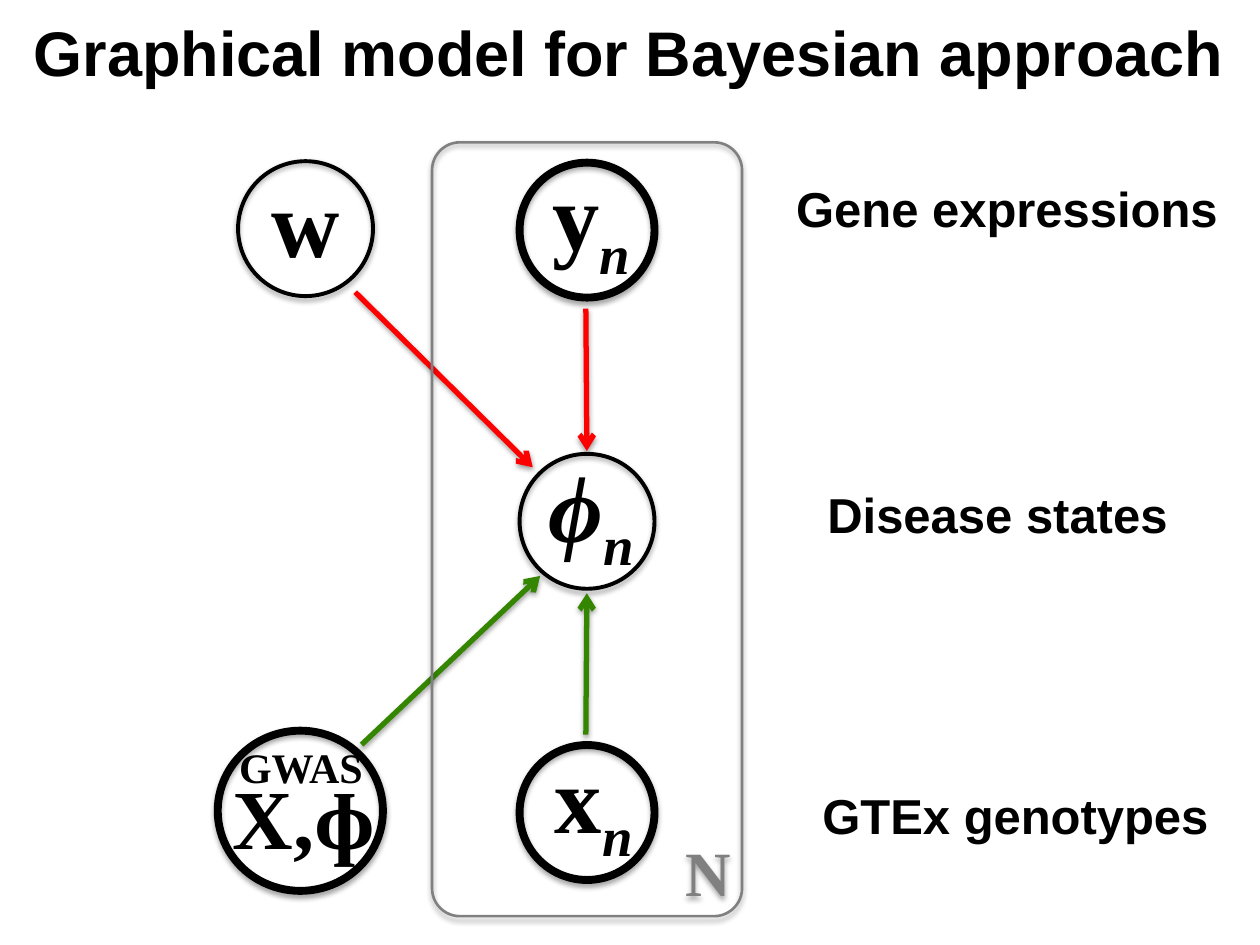
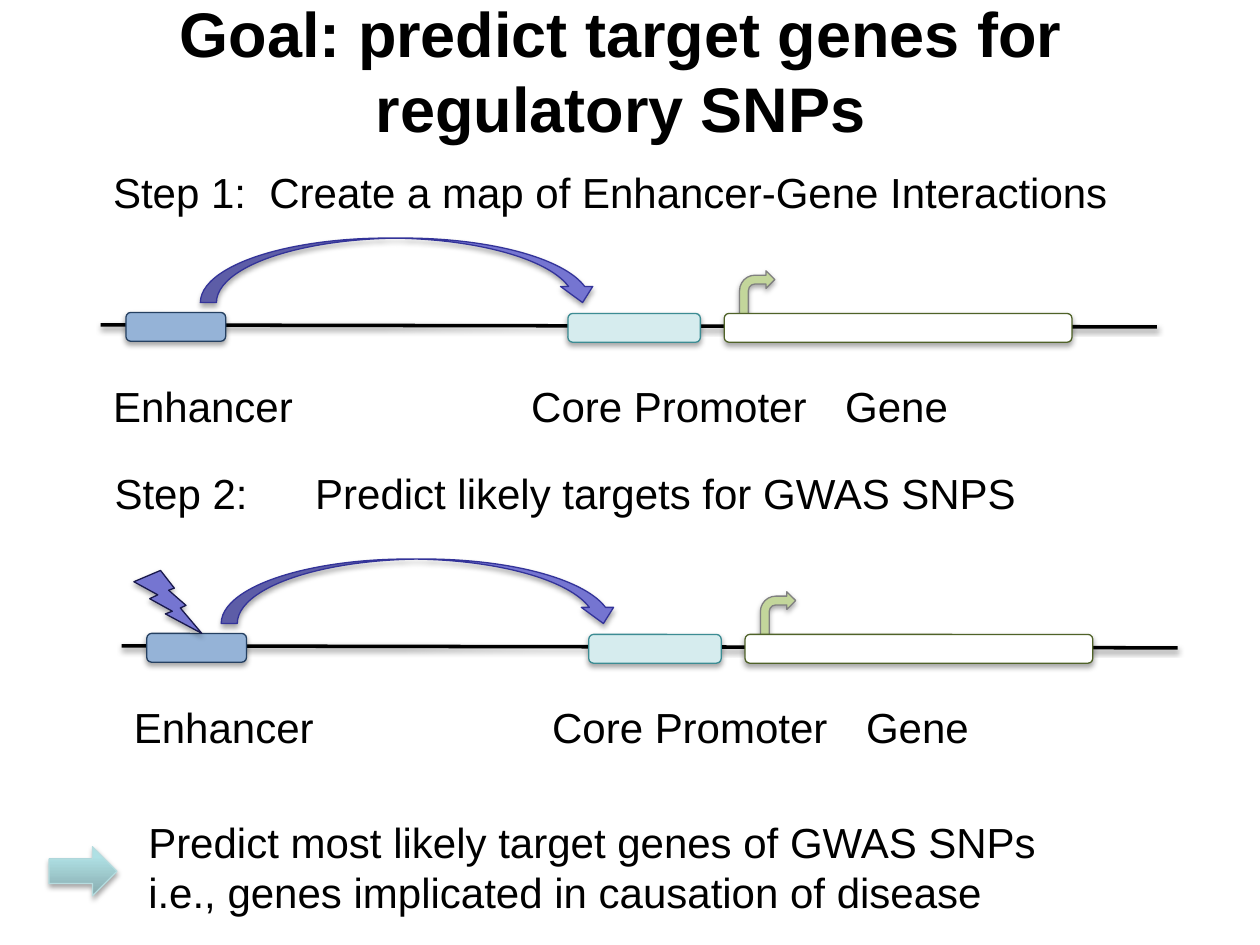
import dataclasses

import lxml.etree
import pptx
import pptx.dml.color
import pptx.enum.shapes
import pptx.enum.text
import pptx.oxml
import pptx.oxml.ns
import pptx.util

Cm = pptx.util.Cm
Pt = pptx.util.Pt
SHAPE = pptx.enum.shapes.MSO_SHAPE
ALIGN = pptx.enum.text.PP_ALIGN
ANCHOR = pptx.enum.text.MSO_ANCHOR
qn = pptx.oxml.ns.qn


@dataclasses.dataclass(frozen=True)
class Theme:
    sans: str = "Arial"
    serif: str = "Times New Roman"
    ink: str = "000000"
    plate: str = "808080"
    expression_edge: str = "FF0000"
    genotype_edge: str = "348600"
    enhancer: tuple = ("95B3D7", "254061")
    promoter: tuple = ("D6ECEE", "3C8C93")
    gene: tuple = ("FFFFFF", "4F6228")
    start_site: tuple = ("C3D69B", "808080")
    interaction: tuple = ("7575D1", "333399")
    variant: tuple = ("7575D1", "19194D")
    pointer: tuple = ("87ABAE", "AFE0E4")
    pointer_line: str = "B6DCDF"
    title: int = 36
    caption: int = 28
    body: int = 24
    symbol: int = 54
    small_symbol: int = 48


THEME = Theme()


@dataclasses.dataclass(frozen=True)
class Box:
    """A region in centimetres; its contents are placed from its top left corner."""
    left: float
    top: float
    width: float
    height: float

    def inner(self, x, y, width, height):
        return Box(self.left + x, self.top + y, width, height)

    def point(self, x, y):
        return Cm(self.left + x), Cm(self.top + y)

    @property
    def lengths(self):
        return [Cm(v) for v in (self.left, self.top, self.width, self.height)]


# Shared helpers

def rgb(code):
    return pptx.dml.color.RGBColor.from_string(code)


def cast_shadow(shape, opacity=35, distance=1.8):
    """Give a shape or connector the soft shadow that falls straight down."""
    properties = shape._element.spPr
    effects = properties.find(qn("a:effectLst"))
    if effects is None:
        effects = lxml.etree.SubElement(properties, qn("a:effectLst"))
    shadow = lxml.etree.SubElement(
        effects, qn("a:outerShdw"), blurRad=str(Pt(3.1)), dist=str(Pt(distance)),
        dir="5400000", rotWithShape="0")
    color = lxml.etree.SubElement(shadow, qn("a:srgbClr"), val=THEME.ink)
    lxml.etree.SubElement(color, qn("a:alpha"), val=str(opacity * 1000))


def write_text(frame, text, *, size=THEME.body, font=THEME.sans, color=THEME.ink,
               bold=False, italic=False, subscript="", align=ALIGN.LEFT,
               anchor=ANCHOR.TOP, wrap=False):
    frame.word_wrap = wrap
    frame.auto_size = pptx.enum.text.MSO_AUTO_SIZE.NONE
    frame.vertical_anchor = anchor
    for index, line in enumerate(text.split("\n")):
        paragraph = frame.add_paragraph() if index else frame.paragraphs[0]
        paragraph.alignment = align
        for content, is_subscript in ((line, False), (subscript, True)):
            if not content:
                continue
            run = paragraph.add_run()
            run.text = content
            run.font.name, run.font.size = font, Pt(size)
            run.font.bold, run.font.italic = bold, italic or is_subscript
            run.font.color.rgb = rgb(color)
            if is_subscript:
                run._r.get_or_add_rPr().set("baseline", "-25000")


def add_text(slide, box, text, **style):
    label = slide.shapes.add_textbox(*box.lengths)
    write_text(label.text_frame, text, **style)
    return label


def add_outline(slide, kind, box, line, weight=0.75, fill=None):
    shape = slide.shapes.add_shape(kind, *box.lengths)
    shape.shadow.inherit = False
    cast_shadow(shape)
    if fill:
        shape.fill.solid()
        shape.fill.fore_color.rgb = rgb(fill)
    else:
        shape.fill.background()
    shape.line.color.rgb = rgb(line)
    shape.line.width = Pt(weight)
    return shape


def add_line(slide, start, end, color, weight, arrow=False):
    line = slide.shapes.add_connector(
        pptx.enum.shapes.MSO_CONNECTOR.STRAIGHT, *start, *end)
    line.line.color.rgb = rgb(color)
    line.line.width = Pt(weight)
    if arrow:
        outline = line._element.spPr.find(qn("a:ln"))
        lxml.etree.SubElement(outline, qn("a:tailEnd"), type="arrow")
    cast_shadow(line, 38, 1.6)


def add_titled_slide(deck, title, box):
    slide = deck.slides.add_slide(deck.slide_layouts[5])
    heading = slide.shapes.title
    heading.left, heading.top, heading.width, heading.height = box.lengths
    write_text(heading.text_frame, title, size=THEME.title, bold=True,
               align=ALIGN.CENTER, anchor=ANCHOR.MIDDLE, wrap=True)
    return slide


# Graphical model

def draw_node(slide, box, symbol, inset, observed, **style):
    """Observed variables have a heavy ring, hidden ones a thin ring."""
    add_outline(slide, SHAPE.OVAL, box, THEME.ink, 4.5 if observed else 2.25)
    style = {"size": THEME.symbol, "font": THEME.serif, "bold": True, **style}
    add_text(slide, box.inner(*inset, box.width, 2.57), symbol, **style)


def draw_graph(slide, box):
    diameter, row_step = 2.72, 5.87
    plate = box.inner(4.32, 0, 6.25, 15.6)
    column_x = (plate.width - diameter) / 2

    # Variables repeated for each individual
    variables = (("y", (0.41, -0.25), True, False),
                 ("ϕ", (0.33, -0.25), False, True),
                 ("x", (0.46, -0.25), True, False))
    for row, (symbol, inset, observed, italic) in enumerate(variables):
        node = plate.inner(column_x, 0.41 + row * row_step, diameter, diameter)
        draw_node(slide, node, symbol, inset, observed, italic=italic, subscript="n")

    # Weights and association data outside the plate
    draw_node(slide, box.inner(0.41, 0.38, diameter, diameter), "w", (0.43, -0.08), False)
    gwas = box.inner(0, 11.86, 3.33, 3.23)
    draw_node(slide, gwas, "X,ɸ", (0.05, 0.58), True, size=THEME.small_symbol)
    add_text(slide, gwas.inner(0.18, 0.1, 3.07, 1.27), "GWAS",
             font=THEME.serif, bold=True)

    # Dependencies
    edges = (((7.42, 3.35), (7.44, 6.22), THEME.expression_edge),
             ((7.42, 11.94), (7.44, 9.09), THEME.genotype_edge),
             ((2.77, 3.02), (6.35, 6.55), THEME.expression_edge),
             ((2.9, 12.14), (6.5, 8.74), THEME.genotype_edge))
    for start, end, color in edges:
        add_line(slide, box.point(*start), box.point(*end), color, 3, arrow=True)

    # Plate and its count
    count = add_text(slide, plate.inner(4.88, 13.92, 1.37, 1.55), "N", size=THEME.title,
                     font=THEME.serif, color=THEME.plate, bold=True,
                     align=ALIGN.CENTER, anchor=ANCHOR.MIDDLE)
    cast_shadow(count)
    outline = add_outline(slide, SHAPE.ROUNDED_RECTANGLE, plate, THEME.plate, 1.5)
    outline.adjustments[0] = 0.09


def draw_row_captions(slide, box):
    captions = ((0, 0, "Gene expressions"),
                (0.63, 6.17, "Disease states"),
                (0.53, 12.24, "GTEx genotypes"))
    for x, y, caption in captions:
        add_text(slide, box.inner(x, y, box.width - x, 1.45), caption,
                 size=THEME.caption, bold=True)


def build_model_slide(deck):
    slide = add_titled_slide(deck, "Graphical model for Bayesian approach",
                             Box(0.13, 0.13, 25.1, 1.8))
    draw_graph(slide, Box(4.39, 2.87, 10.57, 15.6))
    draw_row_captions(slide, Box(15.8, 3.48, 9.12, 13.7))


# Target gene prediction

def draw_locus(slide, box, has_variant=False):
    """A stretch of DNA on which an enhancer acts on a promoter."""
    add_line(slide, box.point(0, 1.75), box.point(box.width, 1.79), THEME.ink, 2)
    bar = SHAPE.ROUNDED_RECTANGLE
    elements = [(SHAPE.BENT_ARROW, (12.88, 0.66, 0.71, 0.89), THEME.start_site),
                (bar, (12.57, 1.52, 7.01, 0.58), THEME.gene),
                (bar, (9.42, 1.52, 2.67, 0.58), THEME.promoter),
                (bar, (0.51, 1.5, 2.01, 0.58), THEME.enhancer),
                (SHAPE.CURVED_DOWN_ARROW, (2.01, 0, 8.03, 1.3), THEME.interaction)]
    if has_variant:
        elements.append((SHAPE.LIGHTNING_BOLT, (0.25, 0.23, 1.37, 1.27), THEME.variant))
    for kind, place, (fill, line) in elements:
        add_outline(slide, kind, box.inner(*place), line, fill=fill)
    for x, width, name in ((0, 4.19, "Enhancer"), (8.43, 6.12, "Core Promoter"),
                           (14.76, 2.62, "Gene")):
        add_text(slide, box.inner(x, 2.74, width, 1.27), name)


def draw_conclusion(slide, box):
    pointer = add_outline(slide, SHAPE.RIGHT_ARROW, box.inner(0, 0.74, 1.37, 0.99),
                          THEME.pointer_line)
    pointer.fill.gradient()
    pointer.fill.gradient_angle = 90
    stops = zip(pointer.fill.gradient_stops, THEME.pointer, (0, 0.8))
    for stop, color, position in stops:
        stop.color.rgb = rgb(color)
        stop.position = position
    add_text(slide, box.inner(1.75, 0, box.width - 1.75, box.height),
             "Predict most likely target genes of GWAS SNPs\n"
             "i.e., genes implicated in causation of disease", wrap=True)


def build_goal_slide(deck):
    slide = add_titled_slide(deck, "Goal: predict target genes for regulatory SNPs",
                             Box(0.64, 0.46, 23.75, 1.9))
    add_text(slide, Box(2.03, 3.23, 21.23, 1.27),
             "Step 1:  Create a map of Enhancer-Gene Interactions")
    draw_locus(slide, Box(2.03, 4.8, 21.29, 4.01))
    add_text(slide, Box(2.06, 9.3, 20.14, 1.27),
             "Step 2:\t Predict likely targets for GWAS SNPS")
    draw_locus(slide, Box(2.45, 11.27, 21.29, 4.01), has_variant=True)
    draw_conclusion(slide, Box(0.99, 16.33, 23.83, 2.31))


def main():
    deck = pptx.Presentation()
    deck.slide_width, deck.slide_height = Cm(25.4), Cm(19.05)
    build_model_slide(deck)
    build_goal_slide(deck)
    deck.save("out.pptx")


if __name__ == "__main__":
    main()
